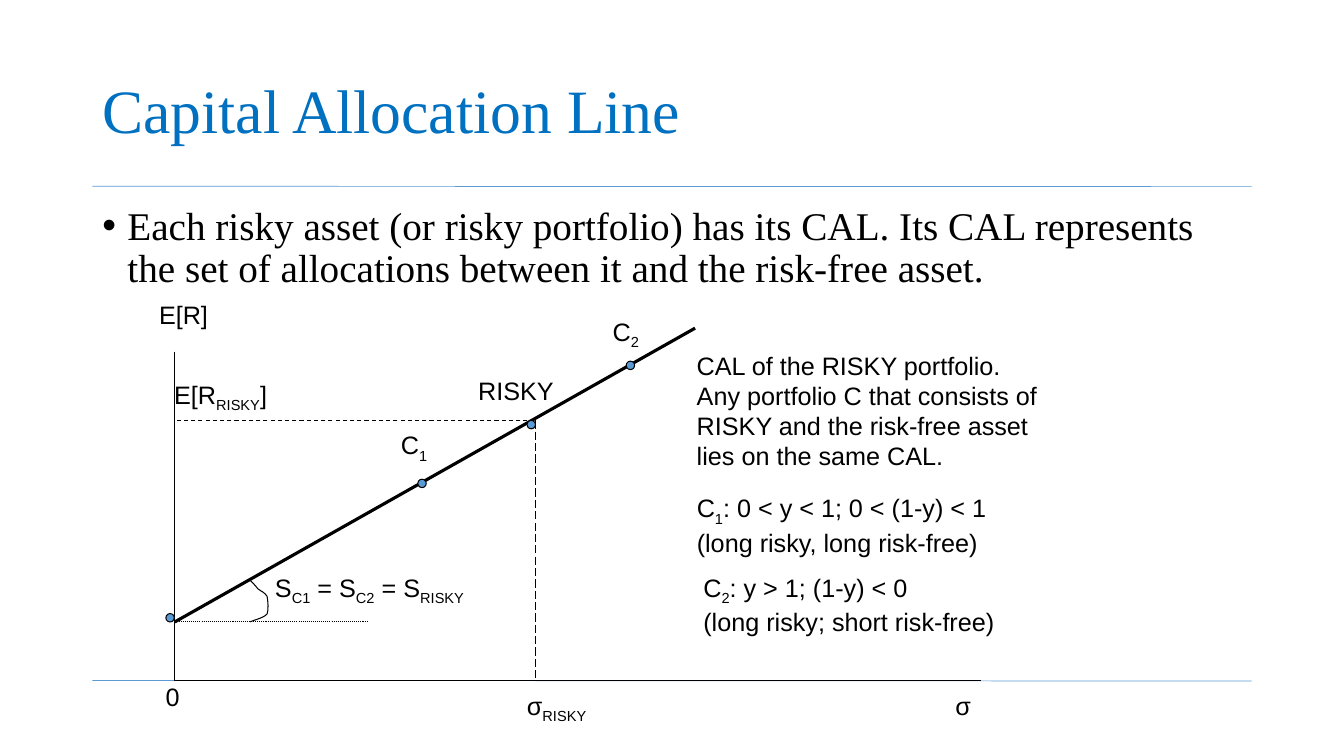
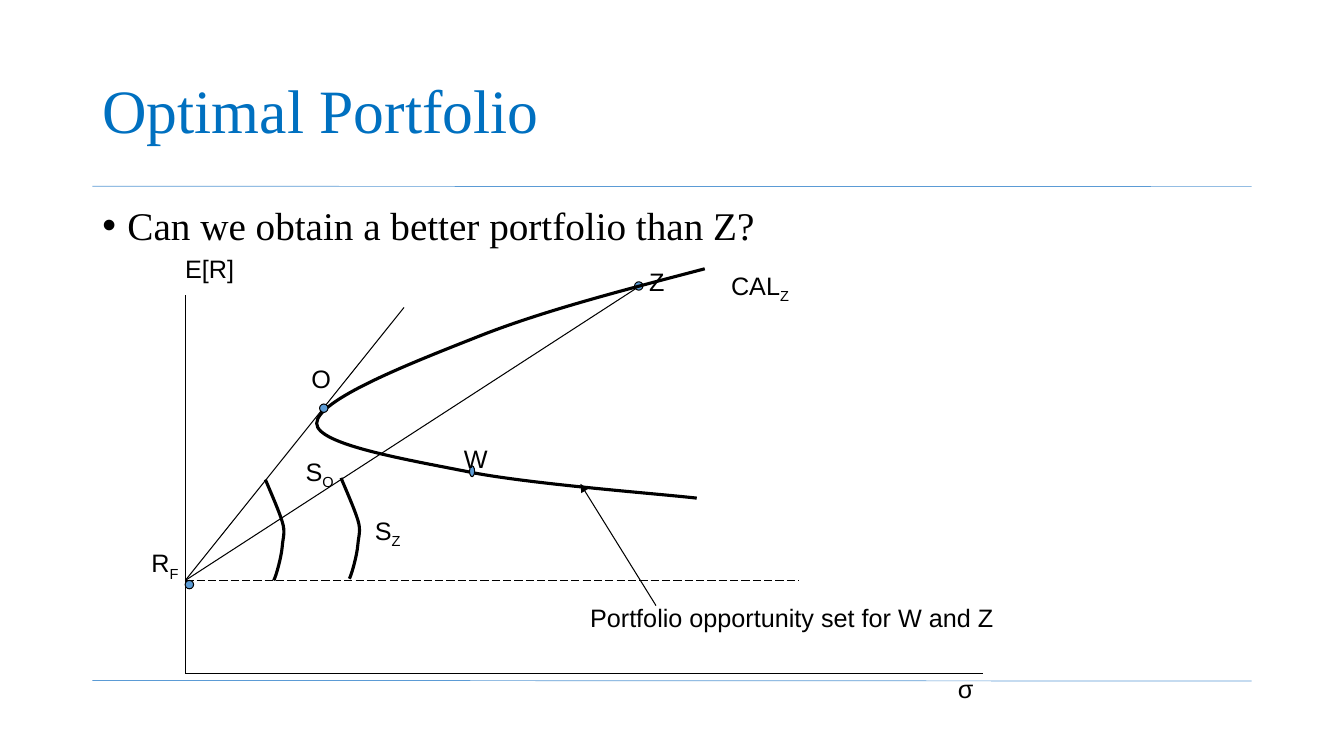
from dataclasses import dataclass

from lxml import etree
from pptx import Presentation
from pptx import util as u
from pptx.dml.color import RGBColor
from pptx.enum import dml, shapes, text
from pptx.oxml.ns import qn

COLUMNS, ROWS = 160, 90
CELL = u.Inches(7.5) // ROWS


@dataclass(frozen=True)
class Theme:
    title_color: RGBColor = RGBColor.from_string("0070C0")
    accent: RGBColor = RGBColor.from_string("5B9BD5")
    ink: RGBColor = RGBColor.from_string("000000")
    heading_font: str = "Times New Roman"
    label_font: str = "Arial"
    title_size: float = 44
    body_size: float = 28
    label_size: float = 18
    rule: float = 0.5
    thin: float = 0.75
    thick: float = 2.25


THEME = Theme()
LEFT, CONTENT_WIDTH = 11, 138
TITLE_TOP, TITLE_HEIGHT = 4.8, 17.4
BODY_TOP, BODY_HEIGHT = 24, 57.1
RULE_ENDS = ((22.18, 22.22), (81, 81.08))
SIGMA_WIDTH, RETURN_WIDTH = 4.3, 8.3


def grid(*lengths):
    return [u.Emu(round(length * CELL)) for length in lengths]


def style_font(paragraph, name, size, color):
    paragraph.font.name = name
    paragraph.font.size = u.Pt(size)
    paragraph.font.color.rgb = color


def style_line(shape, width, color=THEME.ink, dash=None):
    shape.line.color.rgb = color
    shape.line.width = u.Pt(width)
    if dash is not None:
        shape.line.dash_style = dash


def add_line(slide, start, end, width=THEME.thin, color=THEME.ink, dash=None, arrow=False):
    connector = slide.shapes.add_connector(
        shapes.MSO_CONNECTOR.STRAIGHT, *grid(*start, *end))
    style_line(connector, width, color, dash)
    if arrow:
        etree.SubElement(connector.line._get_or_add_ln(), qn("a:tailEnd"), type="triangle")
    etree.SubElement(connector.element.spPr, qn("a:effectLst"))
    return connector


def add_point(slide, x, y, width=1, height=1):
    point = slide.shapes.add_shape(
        shapes.MSO_SHAPE.OVAL, *grid(x - width / 2, y - height / 2, width, height))
    point.shadow.inherit = False
    point.fill.solid()
    point.fill.fore_color.rgb = THEME.accent
    style_line(point, THEME.thin)


def round_segments(curve):
    segments = list(curve.element.iter(qn("a:lnTo")))
    for first in range(0, len(segments), 3):
        bezier = etree.Element(qn("a:cubicBezTo"))
        segments[first].addprevious(bezier)
        for segment in segments[first:first + 3]:
            bezier.append(segment[0])
            segment.getparent().remove(segment)


def add_curve(slide, knots, width, shift=(0, 0)):
    start, *rest = [grid(x + shift[0], y + shift[1]) for x, y in knots]
    builder = slide.shapes.build_freeform(*start)
    builder.add_line_segments(rest, close=False)
    curve = builder.convert_to_shape()
    round_segments(curve)
    curve.shadow.inherit = False
    curve.fill.background()
    style_line(curve, width)


def add_label(slide, x, y, width, *lines):
    box = slide.shapes.add_textbox(*grid(x, y, width, 1.2 + 3.6 * len(lines)))
    frame = box.text_frame
    frame.word_wrap = False
    frame.auto_size = text.MSO_AUTO_SIZE.SHAPE_TO_FIT_TEXT
    for index, line in enumerate(lines):
        paragraph = frame.add_paragraph() if index else frame.paragraphs[0]
        style_font(paragraph, THEME.label_font, THEME.label_size, THEME.ink)
        for part, content in enumerate(line.replace("}", "{").split("{")):
            if content:
                run = paragraph.add_run()
                run.text = content
                if part % 2:
                    run.font._element.set("baseline", "-25000")


def add_title(slide, content):
    title = slide.shapes.title
    title.left, title.top, title.width, title.height = grid(
        LEFT, TITLE_TOP, CONTENT_WIDTH, TITLE_HEIGHT)
    frame = title.text_frame
    frame.text = content
    frame.auto_size = text.MSO_AUTO_SIZE.NONE
    frame.vertical_anchor = text.MSO_ANCHOR.MIDDLE
    paragraph = frame.paragraphs[0]
    paragraph.alignment = text.PP_ALIGN.LEFT
    paragraph.line_spacing = 0.9
    style_font(paragraph, THEME.heading_font, THEME.title_size, THEME.title_color)


def add_bullet(slide, content):
    box = slide.shapes.add_textbox(*grid(LEFT, BODY_TOP, CONTENT_WIDTH, BODY_HEIGHT))
    frame = box.text_frame
    frame.word_wrap = True
    paragraph = frame.paragraphs[0]
    paragraph.text = content
    properties = paragraph._p.get_or_add_pPr()
    indent = u.Inches(0.25)
    properties.set("marL", str(indent))
    properties.set("indent", str(-indent))
    etree.SubElement(properties, qn("a:buFont"), typeface=THEME.label_font)
    etree.SubElement(properties, qn("a:buChar"), char="•")
    paragraph.line_spacing = 0.9
    paragraph.space_before = u.Pt(10)
    style_font(paragraph, THEME.heading_font, THEME.body_size, THEME.ink)


def add_axes(slide, origin, top, right):
    add_line(slide, (origin[0], top), origin)
    add_line(slide, origin, (right, origin[1]))


def add_slide(presentation, layout, title, bullet):
    slide = presentation.slides.add_slide(layout)
    add_title(slide, title)
    add_bullet(slide, bullet)
    return slide


def add_layout_rules(layout, slide):
    tree = layout.placeholders[0].element.getparent()
    for start_row, end_row in RULE_ENDS:
        rule = add_line(slide, (LEFT, start_row), (LEFT + CONTENT_WIDTH, end_row),
                        THEME.rule, THEME.accent)
        tree.append(rule.element)


def draw_allocation_line(slide):
    origin = left, bottom = 20.8, 81.06
    risk_free = (left, 74.05)
    risky_row = 50.05
    add_axes(slide, origin, top=41.85, right=116.8)
    add_line(slide, risk_free, (82.75, 39.07), THEME.thick)
    add_line(slide, (62.8, risky_row), (left, risky_row), dash=dml.MSO_LINE.DASH)
    add_line(slide, (63.75, risky_row), (63.75, bottom), dash=dml.MSO_LINE.LONG_DASH)
    add_line(slide, risk_free, (43.75, 74.05), dash=dml.MSO_LINE.ROUND_DOT)
    add_curve(slide, [
        (29.8, 69.1), (30.1, 69.4), (30.4, 69.7), (30.7, 70.1),
        (31.1, 70.4), (31.6, 70.6), (31.8, 71), (31.9, 71.5),
        (32, 72.6), (31.8, 73.1), (31.4, 73.6), (29.9, 73.9), (29.8, 74.05),
    ], THEME.thin)
    for point in ((63.25, 50.55), (50.25, 57.55), (75.05, 43.5), (20.25, 73.55)):
        add_point(slide, *point)
    for label in (
        (112.55, 81.6, SIGMA_WIDTH, "σ"),
        (17.75, 35.05, RETURN_WIDTH, "E[R]"),
        (55.75, 44.08, 11.4, "RISKY"),
        (18.55, 80.55, 4.1, "0"),
        (46.55, 50.55, 5.6, "C{1}"),
        (71.75, 37.05, 5.6, "C{2}"),
        (19.55, 44.55, 14.3, "E[R{RISKY}]"),
        (61.55, 81.55, 10.3, "σ{RISKY}"),
        (31.55, 67.55, 26.3, "S{C1} = S{C2} = S{RISKY}"),
        (81.77, 41.08, 43, "CAL of the RISKY portfolio.",
         "Any portfolio C that consists of",
         "RISKY and the risk-free asset", "lies on the same CAL."),
        (81.77, 58.05, 37.1, "C{1}: 0 < y < 1; 0 < (1-y) < 1",
         "(long risky, long risk-free)"),
        (82.55, 67.55, 37.1, "C{2}: y > 1; (1-y) < 0",
         "(long risky; short risk-free)"),
    ):
        add_label(slide, *label)


def draw_optimal_portfolio(slide):
    origin = left, bottom = 22.06, 80.15
    risk_free = (left, 69.1)
    add_axes(slide, origin, top=35.15, right=117.05)
    add_line(slide, risk_free, (76.1, 34.1))
    add_line(slide, risk_free, (95.05, 69.1), dash=dml.MSO_LINE.LONG_DASH)
    add_point(slide, 76.05, 34.05)
    add_point(slide, 22.55, 69.6)
    angle = [
        (40.6, 56.9), (41.4, 58.8), (42.2, 60.6), (42.6, 61.9),
        (43, 63.2), (42.7, 63.7), (42.6, 64.9),
        (42.5, 66.1), (41.9, 68.3), (41.6, 68.9)]
    for shift in ((0, 0), (-9, 0.2)):
        add_curve(slide, angle, THEME.thick, shift)
    add_curve(slide, [
        (83.9, 32), (74, 34.6), (64.3, 37.1), (56.6, 40.2),
        (49, 43.2), (37.7, 47.6), (37.7, 50.4),
        (37.7, 53), (49, 54.8), (56.4, 56.3),
        (64, 57.7), (78.6, 58.8), (82.95, 59.3),
    ], THEME.thick)
    add_line(slide, risk_free, (48.1, 36.6))
    add_line(slide, (78.1, 72.1), (69.1, 57.6), arrow=True)
    add_point(slide, 38.55, 48.6)
    add_point(slide, 56.2, 56.1, 0.6, 1.3)
    for label in (
        (20.85, 29.6, RETURN_WIDTH, "E[R]"),
        (112.85, 79.6, SIGMA_WIDTH, "σ"),
        (16.85, 64.6, 5.8, "R{F}"),
        (76.1, 31.1, 4.2, "Z"),
        (54.05, 52.15, 5.3, "W"),
        (85.85, 31.6, 9.5, "CAL{Z}"),
        (43.45, 60.77, 5.6, "S{Z}"),
        (35.9, 42.65, 4.8, "O"),
        (35.2, 53.75, 6, "S{O}"),
        (69.07, 71.13, 50.4, "Portfolio opportunity set for W and Z"),
    ):
        add_label(slide, *label)


def main():
    presentation = Presentation()
    presentation.slide_width, presentation.slide_height = grid(COLUMNS, ROWS)
    layout = presentation.slide_layouts.get_by_name("Title Only")
    allocation = add_slide(
        presentation, layout, "Capital Allocation Line",
        "Each risky asset (or risky portfolio) has its CAL. Its CAL represents "
        "the set of allocations between it and the risk-free asset.")
    add_layout_rules(layout, allocation)
    draw_allocation_line(allocation)
    optimal = add_slide(
        presentation, layout, "Optimal Portfolio",
        "Can we obtain a better portfolio than Z?")
    draw_optimal_portfolio(optimal)
    presentation.save("out.pptx")


if __name__ == "__main__":
    main()
